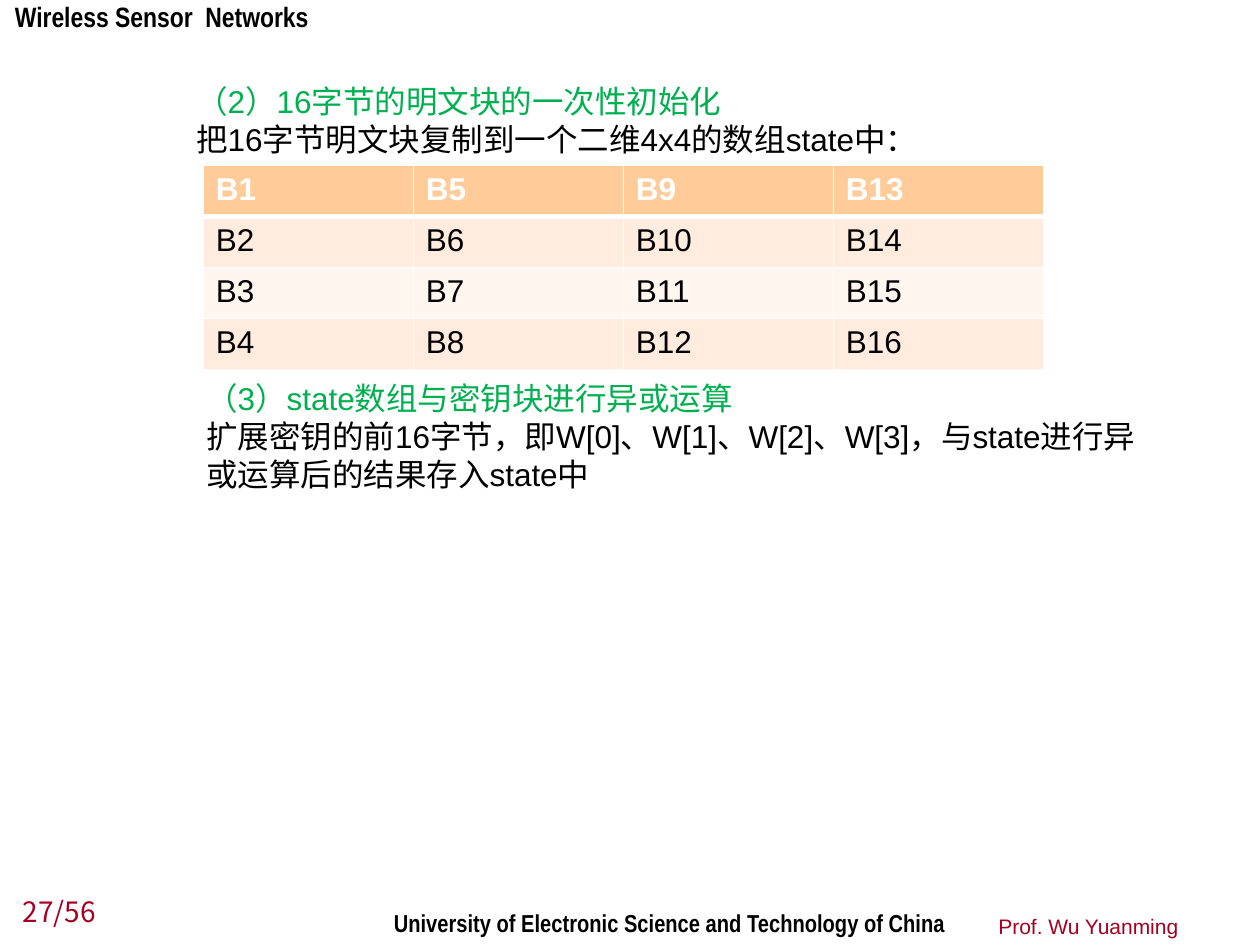
import pptx
import pptx.util
import pptx.dml.color
import pptx.enum.text
import pptx.oxml
import pptx.oxml.ns
import lxml.etree

Pt = pptx.util.Pt
Anchor = pptx.enum.text.MSO_ANCHOR
Align = pptx.enum.text.PP_ALIGN
qn = pptx.oxml.ns.qn

BLACK, WHITE, GREEN, RED = "000000", "FFFFFF", "00B050", "A50021"
HEADER_FILL, BAND_FILLS = "FFCC99", ("FFECDE", "FFF6EF")
CJK_FONT = "Noto Sans CJK JP"


def color(value):
    return pptx.dml.color.RGBColor.from_string(value)


class SlideBuilder:
    """Holds the text style and the current slide."""

    def __init__(self, slide):
        self.slide = slide
        self.style = {"name": "Arial", "size": Pt(18), "bold": False}

    def add_run(self, paragraph, text, text_color, **changes):
        run = paragraph.add_run()
        run.text = text
        for name, value in {**self.style, **changes}.items():
            setattr(run.font, name, value)
        run.font.color.rgb = color(text_color)
        east_asian = lxml.etree.SubElement(run.font._element, qn("a:ea"))
        east_asian.set("typeface", CJK_FONT)

    def text(self, left, top, width, height, lines, frame_format=None,
             align=Align.LEFT, **changes):
        shape = self.slide.shapes.add_textbox(Pt(left), Pt(top), Pt(width), Pt(height))
        frame = shape.text_frame
        for name, value in {"word_wrap": True, **(frame_format or {})}.items():
            setattr(frame, name, value)
        for index, (line, text_color) in enumerate(lines):
            paragraph = frame.add_paragraph() if index else frame.paragraphs[0]
            paragraph.alignment = align
            self.add_run(paragraph, line, text_color, **changes)

    def border(self, cell, side, width):
        properties = cell._tc.get_or_add_tcPr()
        line = lxml.etree.SubElement(properties, qn("a:ln" + side), w=str(Pt(width)))
        fill = lxml.etree.SubElement(line, qn("a:solidFill"))
        lxml.etree.SubElement(fill, qn("a:srgbClr"), val=WHITE)

    def table(self, left, top, column_width, row_height, rows):
        row_count, column_count = len(rows), len(rows[0])
        table = self.slide.shapes.add_table(
            row_count, column_count, Pt(left), Pt(top),
            Pt(column_width * column_count), Pt(row_height * row_count)).table
        for column in table.columns:
            column.width = Pt(column_width)
        for row_index, values in enumerate(rows):
            table.rows[row_index].height = Pt(row_height)
            header = row_index == 0
            for column_index, value in enumerate(values):
                cell = table.cell(row_index, column_index)
                for side in "LRTB":
                    below_header = (row_index, side) in ((0, "B"), (1, "T"))
                    self.border(cell, side, 3 if below_header else 1)
                cell.fill.solid()
                cell.fill.fore_color.rgb = color(
                    HEADER_FILL if header else BAND_FILLS[(row_index - 1) % 2])
                self.add_run(cell.text_frame.paragraphs[0], value,
                             WHITE if header else BLACK, bold=header)


def main():
    presentation = pptx.Presentation()
    presentation.slide_width, presentation.slide_height = Pt(720), Pt(540)
    slide = presentation.slides.add_slide(presentation.slide_layouts[6])
    builder = SlideBuilder(slide)

    # Header and footer
    no_margins = dict.fromkeys(
        ("margin_left", "margin_top", "margin_right", "margin_bottom"), 0)
    bottom = {"vertical_anchor": Anchor.BOTTOM}
    builder.text(8.5, 0, 193, 19.5, [("Wireless Sensor  Networks", BLACK)],
                 no_margins, name="Arial Narrow", size=Pt(16), bold=True)
    builder.text(218, 515.5, 340, 24.5,
                 [("University of Electronic Science and Technology of China", BLACK)],
                 name="Arial Narrow", size=Pt(14), bold=True)
    builder.text(553, 514, 127.5, 26, [("Prof. Wu Yuanming", RED)],
                 bottom, Align.RIGHT, size=Pt(12))
    builder.text(6, 506, 73, 28, [("27/56", RED)], bottom,
                 name=CJK_FONT, size=Pt(16))

    # Step 2: the state array, filled column by column
    builder.text(105, 43.2, 561.6, 51, [
        ("（2）16字节的明文块的一次性初始化", GREEN),
        ("把16字节明文块复制到一个二维4x4的数组state中：", BLACK)])
    builder.table(116.2, 94.5, 120, 29.2, [
        [f"B{row + 4 * column}" for column in range(4)] for row in range(1, 5)])

    # Step 3: XOR with the key block
    builder.text(110.7, 213, 561.6, 72.7, [
        ("（3）state数组与密钥块进行异或运算", GREEN),
        ("扩展密钥的前16字节，即W[0]、W[1]、W[2]、W[3]，"
         "与state进行异或运算后的结果存入state中", BLACK)])

    presentation.save("out.pptx")


if __name__ == "__main__":
    main()
